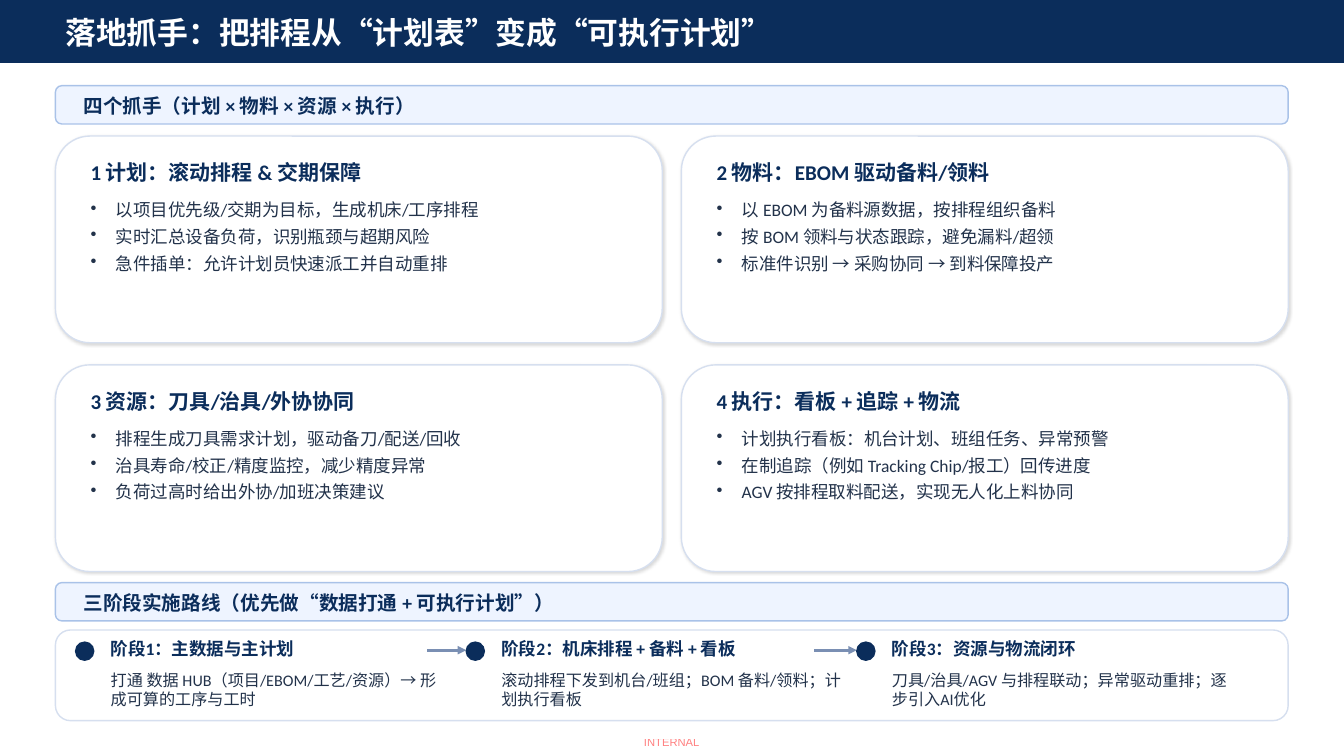
"""Build the slide on turning a production schedule into an executable plan."""
from dataclasses import dataclass

from lxml import etree
from pptx import Presentation
from pptx.dml.color import RGBColor
from pptx.enum.shapes import MSO_CONNECTOR, MSO_SHAPE
from pptx.enum.text import MSO_ANCHOR
from pptx.oxml.ns import qn
from pptx.shapes.autoshape import Shape
from pptx.slide import Slide
from pptx.util import Pt

RECTANGLE = MSO_SHAPE.RECTANGLE
ROUNDED = MSO_SHAPE.ROUNDED_RECTANGLE
OVAL = MSO_SHAPE.OVAL
STRAIGHT = MSO_CONNECTOR.STRAIGHT
TOP = MSO_ANCHOR.TOP
MIDDLE = MSO_ANCHOR.MIDDLE


@dataclass(frozen=True)
class Theme:
    navy: str = "0B2D5B"
    body: str = "22324A"
    white: str = "FFFFFF"
    band_fill: str = "EEF4FF"
    band_line: str = "A9C2E8"
    card_line: str = "D6DFEF"
    arrow: str = "7A8FB3"
    label: str = "FF0000"
    font: str = "Calibri"
    label_font: str = "Arial"
    title_size: float = 22
    card_title_size: float = 15
    band_size: float = 14
    body_size: float = 12.5
    stage_size: float = 11.5
    label_size: float = 8


@dataclass(frozen=True)
class Box:
    left: float
    top: float
    width: float
    height: float

    def lengths(self) -> tuple[Pt, Pt, Pt, Pt]:
        return Pt(self.left), Pt(self.top), Pt(self.width), Pt(self.height)


@dataclass(frozen=True)
class Style:
    size: float
    color: str
    bold: bool = False
    font: str = "Calibri"


@dataclass(frozen=True)
class Card:
    heading: str
    points: tuple[str, ...]


@dataclass(frozen=True)
class Stage:
    heading: str
    detail: str
    arrow_start: float = 0


THEME = Theme()
MARGIN = 39.6
CONTENT_WIDTH = 880.56
CARD_TOP, CARD_WIDTH, CARD_HEIGHT = 97.2, 433.44, 147.6
CARD_PITCH_X, CARD_PITCH_Y = 447.12, 163.44
STAGE_LEFT, STAGE_TOP, STAGE_PITCH = 54, 450, 279
DOT = 12.96

BANDS = {
    61.2: "四个抓手（计划 × 物料 × 资源 × 执行）",
    416.16: "三阶段实施路线（优先做“数据打通 + 可执行计划”）",
}
CARDS = (
    Card("1 计划：滚动排程 & 交期保障", (
        "以项目优先级/交期为目标，生成机床/工序排程",
        "实时汇总设备负荷，识别瓶颈与超期风险",
        "急件插单：允许计划员快速派工并自动重排")),
    Card("2 物料：EBOM 驱动备料/领料", (
        "以 EBOM 为备料源数据，按排程组织备料",
        "按 BOM 领料与状态跟踪，避免漏料/超领",
        "标准件识别 → 采购协同 → 到料保障投产")),
    Card("3 资源：刀具/治具/外协协同", (
        "排程生成刀具需求计划，驱动备刀/配送/回收",
        "治具寿命/校正/精度监控，减少精度异常",
        "负荷过高时给出外协/加班决策建议")),
    Card("4 执行：看板 + 追踪 + 物流", (
        "计划执行看板：机台计划、班组任务、异常预警",
        "在制追踪（例如 Tracking Chip/报工）回传进度",
        "AGV 按排程取料配送，实现无人化上料协同")),
)
STAGES = (
    Stage("阶段1：主数据与主计划",
          "打通 数据 HUB（项目/EBOM/工艺/资源）→ 形成可算的工序与工时", 305.28),
    Stage("阶段2：机床排程 + 备料 + 看板",
          "滚动排程下发到机台/班组；BOM 备料/领料；计划执行看板", 581.76),
    Stage("阶段3：资源与物流闭环",
          "刀具/治具/AGV 与排程联动；异常驱动重排；逐步引入AI优化"),
)


def add_panel(slide: Slide, kind: MSO_SHAPE, box: Box, fill: str, line: str) -> Shape:
    panel = slide.shapes.add_shape(kind, *box.lengths())
    panel.shadow.inherit = False
    panel.fill.solid()
    panel.fill.fore_color.rgb = RGBColor.from_string(fill)
    panel.line.color.rgb = RGBColor.from_string(line)
    panel.line.width = Pt(1)
    return panel


def add_text(slide: Slide, box: Box, lines: tuple[str, ...], style: Style,
             anchor: MSO_ANCHOR = MIDDLE, bulleted: bool = False) -> Shape:
    holder = slide.shapes.add_textbox(*box.lengths())
    frame = holder.text_frame
    frame.word_wrap = True
    frame.vertical_anchor = anchor
    for index, line in enumerate(lines):
        paragraph = frame.add_paragraph() if index else frame.paragraphs[0]
        if bulleted:
            properties = paragraph._p.get_or_add_pPr()
            properties.set("marL", str(Pt(18)))
            properties.set("indent", str(Pt(-18)))
            etree.SubElement(properties, qn("a:buChar"), char="•")
            paragraph.space_after = Pt(4)
        run = paragraph.add_run()
        run.text = line
        run.font.size = Pt(style.size)
        run.font.bold = style.bold
        run.font.name = style.font
        run.font.color.rgb = RGBColor.from_string(style.color)
    return holder


def add_soft_shadow(panel: Shape) -> None:
    effects = panel.element.spPr.find(qn("a:effectLst"))
    shadow = etree.SubElement(effects, qn("a:outerShdw"), blurRad=str(Pt(2)),
                              dist=str(Pt(1)), dir="2700000", rotWithShape="0")
    color = etree.SubElement(shadow, qn("a:srgbClr"), val="000000")
    etree.SubElement(color, qn("a:alpha"), val="15000")


def add_arrow(slide: Slide, start: float, end: float, y: float) -> None:
    arrow = slide.shapes.add_connector(STRAIGHT, Pt(start), Pt(y), Pt(end), Pt(y))
    arrow.line.color.rgb = RGBColor.from_string(THEME.arrow)
    arrow.line.width = Pt(2)
    etree.SubElement(arrow.get_or_add_ln(), qn("a:tailEnd"), type="triangle")
    etree.SubElement(arrow.element.spPr, qn("a:effectLst"))


def add_label(slide: Slide) -> None:
    style = Style(THEME.label_size, THEME.label, font=THEME.label_font)
    label = add_text(slide, Box(460, 525.6, 44, 9.4), ("INTERNAL",), style, TOP)
    frame = label.text_frame
    frame.word_wrap = False
    frame.margin_left = frame.margin_right = frame.margin_top = frame.margin_bottom = 0
    for color in label.element.iter(qn("a:srgbClr")):
        etree.SubElement(color, qn("a:alpha"), val="50000")


def add_title(slide: Slide) -> None:
    add_panel(slide, RECTANGLE, Box(0, 0, 960, 44.64), THEME.navy, THEME.navy)
    add_text(slide, Box(MARGIN, 8.64, 885.6, 28.8), ("落地抓手：把排程从“计划表”变成“可执行计划”",),
             Style(THEME.title_size, THEME.white, True))


def add_band(slide: Slide, top: float, heading: str) -> None:
    add_panel(slide, ROUNDED, Box(MARGIN, top, CONTENT_WIDTH, 27.36),
              THEME.band_fill, THEME.band_line)
    add_text(slide, Box(MARGIN + 12.96, top + 4.32, 854.64, 20.16), (heading,),
             Style(THEME.band_size, THEME.navy, True))


def add_card(slide: Slide, index: int, card: Card) -> None:
    row, column = divmod(index, 2)
    left, top = MARGIN + column * CARD_PITCH_X, CARD_TOP + row * CARD_PITCH_Y
    panel = add_panel(slide, ROUNDED, Box(left, top, CARD_WIDTH, CARD_HEIGHT),
                      THEME.white, THEME.card_line)
    add_soft_shadow(panel)
    add_text(slide, Box(left + 18, top + 12.96, 397.44, 25.2), (card.heading,),
             Style(THEME.card_title_size, THEME.navy, True))
    add_text(slide, Box(left + 18, top + 41.76, 397.44, 95.76), card.points,
             Style(THEME.body_size, THEME.body), TOP, bulleted=True)


def add_stage(slide: Slide, index: int, stage: Stage) -> None:
    left = STAGE_LEFT + index * STAGE_PITCH
    add_panel(slide, OVAL, Box(left, STAGE_TOP + 8.64, DOT, DOT), THEME.navy, THEME.navy)
    add_text(slide, Box(left + 18, STAGE_TOP + 2.16, 257.76, 21.6), (stage.heading,),
             Style(THEME.body_size, THEME.navy, True))
    add_text(slide, Box(left + 18, STAGE_TOP + 24.48, 257.76, 36), (stage.detail,),
             Style(THEME.stage_size, THEME.body))
    if stage.arrow_start:
        add_arrow(slide, stage.arrow_start, left + STAGE_PITCH, STAGE_TOP + 14.4)


def main() -> None:
    deck = Presentation()
    deck.slide_width, deck.slide_height = Pt(960), Pt(540)
    slide = deck.slides.add_slide(deck.slide_layouts[6])
    add_label(slide)
    add_title(slide)
    for top, heading in BANDS.items():
        add_band(slide, top, heading)
    for index, card in enumerate(CARDS):
        add_card(slide, index, card)
    add_panel(slide, ROUNDED, Box(MARGIN, STAGE_TOP, CONTENT_WIDTH, 64.8),
              THEME.white, THEME.card_line)
    for index, stage in enumerate(STAGES):
        add_stage(slide, index, stage)
    deck.save("out.pptx")


if __name__ == "__main__":
    main()
